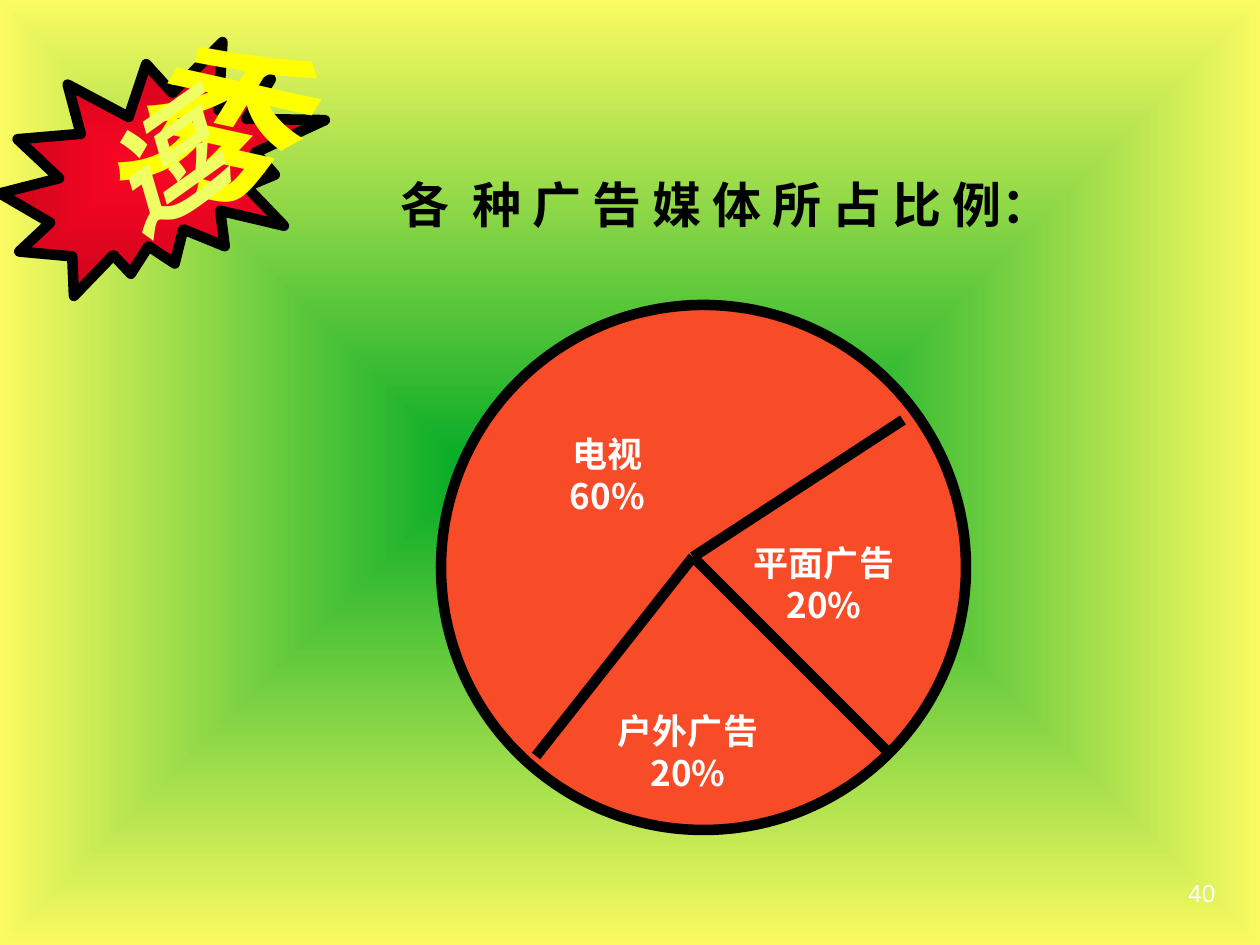
from lxml import etree
from pptx import Presentation
from pptx import util as u
from pptx.dml.color import RGBColor
from pptx.enum import shapes, text
from pptx.oxml import ns

PX = 914400 / 126
COLORS = {
    "green": "02AA26", "pale": "FBFB61", "orange": "F84B28", "black": "000000",
    "white": "FFFFFF", "red": "FA0623", "dark_red": "CD041C",
    "yellow": "FFFF00", "lemon": "EFFE62", "purple": "800080",
}
CJK = "Noto Sans CJK SC"
LEFT, CENTER, RIGHT = text.PP_ALIGN.LEFT, text.PP_ALIGN.CENTER, text.PP_ALIGN.RIGHT


def px(*lengths):
    return [u.Emu(round(n * PX)) for n in lengths]


def rgb(name):
    return RGBColor.from_string(COLORS[name])


def fill_from_center(fill, element, inner, outer):
    """Give fill a rectangular gradient; element is the XML that holds it."""
    fill.gradient()
    for stop, name in zip(fill.gradient_stops, (inner, outer)):
        stop.color.rgb = rgb(name)
    lin = next(element.iter(ns.qn("a:lin")))
    path = etree.Element(ns.qn("a:path"), {"path": "rect"})
    etree.SubElement(path, ns.qn("a:fillToRect"), dict.fromkeys("ltrb", "50000"))
    lin.getparent().replace(lin, path)


def set_outline(sp, color="black", width=6):
    sp.line.color.rgb = rgb(color)
    sp.line.width = u.Pt(width)


def write(sp, lines, size, font=CJK, east=CJK, color="white", align=CENTER,
          anchor=text.MSO_ANCHOR.TOP, bold=True, italic=False, wrap=True,
          gradient=None, outline=None):
    tf = sp.text_frame
    tf.word_wrap = wrap
    tf.auto_size = text.MSO_AUTO_SIZE.NONE
    tf.vertical_anchor = anchor
    for i, line in enumerate(lines):
        p = tf.add_paragraph() if i else tf.paragraphs[0]
        p.alignment = align
        r = p.add_run()
        r.text = line
        f = r.font
        f.size, f.name, f.bold, f.italic = u.Pt(size), font, bold, italic
        rpr = r._r.get_or_add_rPr()
        rpr.set("lang", "zh-CN")
        if gradient:
            fill_from_center(f.fill, r._r, *gradient)
        else:
            f.color.rgb = rgb(color)
        rpr.find(ns.qn("a:latin")).addnext(
            etree.Element(ns.qn("a:ea"), {"typeface": east}))
        if outline:
            ln = etree.Element(ns.qn("a:ln"), {"w": str(u.Pt(0.75))})
            solid = etree.SubElement(ln, ns.qn("a:solidFill"))
            etree.SubElement(solid, ns.qn("a:srgbClr"), {"val": COLORS[outline]})
            rpr.insert(0, ln)


def add_text(slide, box, lines, size, rotation=0, **fmt):
    sp = slide.shapes.add_textbox(*px(*box))
    sp.rotation = rotation
    write(sp, lines, size, **fmt)
    return sp


def add_divider(slide, start, end):
    line = slide.shapes.add_connector(shapes.MSO_CONNECTOR.STRAIGHT, *px(*start, *end))
    set_outline(line)
    etree.SubElement(line._element.spPr, ns.qn("a:effectLst"))


def add_title(slide, x, y, w, h):
    sp = slide.shapes.title
    sp.left, sp.top, sp.width, sp.height = px(x, y, w, h)
    write(sp, ["各  种 广 告 媒 体 所 占 比 例："], 28,
          font="Times New Roman", color="black")


def add_share_circle(slide, x, y, size):
    sp = slide.shapes.add_shape(shapes.MSO_SHAPE.OVAL, *px(x, y, size, size))
    sp.shadow.inherit = False
    sp.fill.solid()
    sp.fill.fore_color.rgb = rgb("orange")
    set_outline(sp)

    hub = (x + 252, y + 252)
    for dx, dy in ((462, 115), (95, 451), (451, 451)):
        add_divider(slide, hub, (x + dx, y + dy))

    labels = (  # name, share, left, top, width, extra left inset
        ("电视", "60%", 28, 121, 277, 0),
        ("户外广告", "20%", 106, 398, 282, 0),
        ("平面广告", "20%", 242, 230, 262, 20),
    )
    for name, share, dx, dy, w, inset in labels:
        label = add_text(slide, (x + dx, y + dy, w, 97), [name, share], 20)
        label.text_frame.margin_left += px(inset)[0]


def add_burst(slide, x, y, w, h):
    sp = slide.shapes.add_shape(shapes.MSO_SHAPE.EXPLOSION2, *px(x, y, w, h))
    sp.shadow.inherit = False
    fill_from_center(sp.fill, sp._element, "red", "dark_red")
    set_outline(sp)
    style = dict(align=LEFT, italic=True, wrap=False)
    add_text(slide, (x + 116, y - 42, 108, 158), ["秀"], 96, rotation=12.6,
             font="Karla", east="Karla", gradient=("yellow", "lemon"), **style)
    add_text(slide, (x + 84, y + 63, 106, 115), ["逗"], 66, rotation=324.6,
             font="Courier New", east="Courier New",
             gradient=("lemon", "yellow"), outline="purple", **style)


def add_page_number(slide, x, y, w, h):
    add_text(slide, (x, y, w, h), ["40"], 14, font="Arial", align=RIGHT,
             anchor=text.MSO_ANCHOR.MIDDLE, bold=False)


def main():
    prs = Presentation()
    prs.slide_width, prs.slide_height = px(1260, 945)
    slide = prs.slides.add_slide(prs.slide_layouts[5])
    fill_from_center(slide.background.fill, slide._element, "green", "pale")
    add_share_circle(slide, 441, 305, 525)
    add_title(slide, 262, 168, 927, 72)
    add_burst(slide, 0, 42, 325, 254)
    add_page_number(slide, 966, 861, 262, 63)
    prs.save("out.pptx")


if __name__ == "__main__":
    main()
